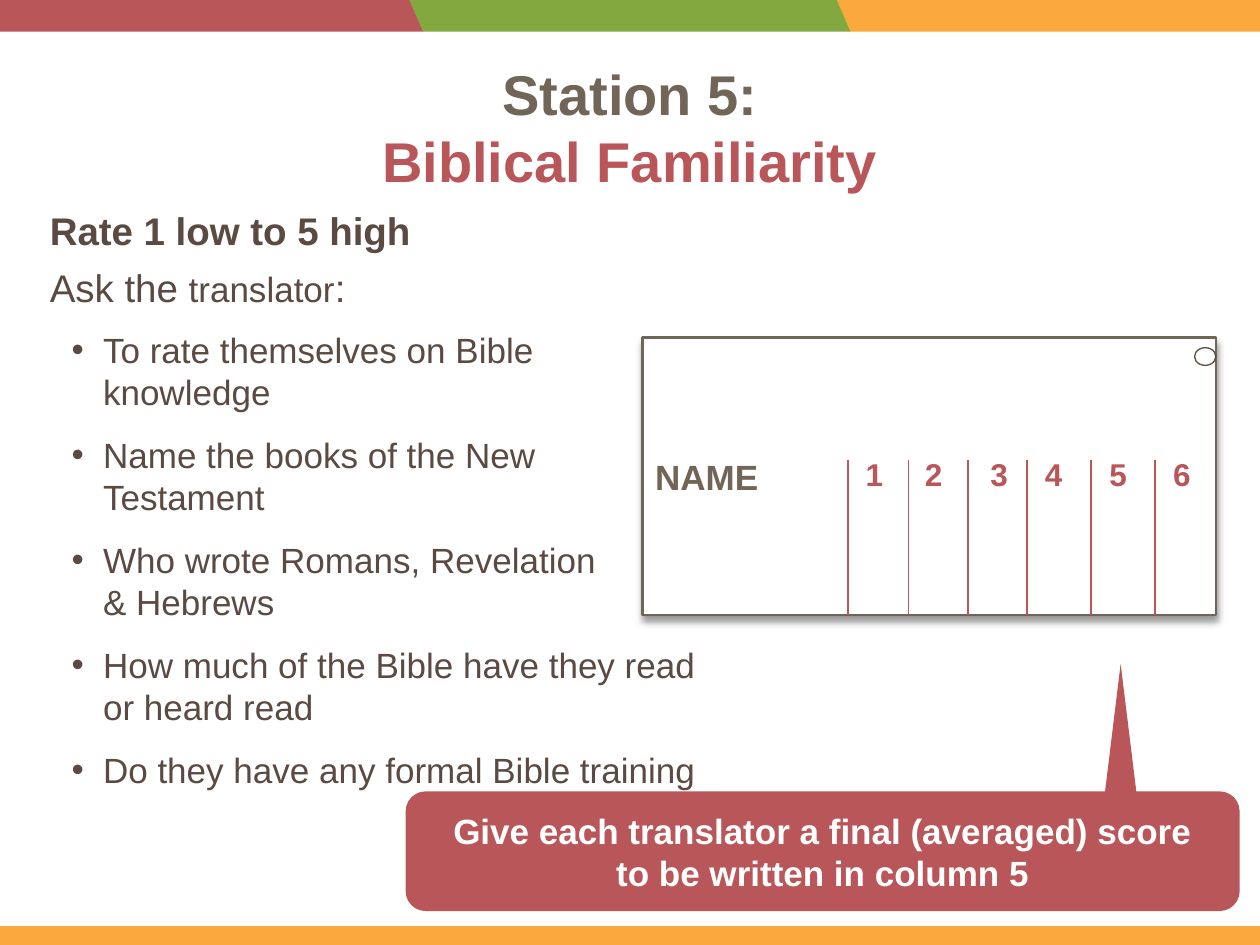
from lxml import etree
from pptx import Presentation
from pptx import util as u
from pptx.dml.color import RGBColor
from pptx.enum import shapes, text
from pptx.oxml import ns, parse_xml

RED = RGBColor(0xB9, 0x56, 0x59)
GREEN = RGBColor(0x83, 0xA8, 0x3F)
ORANGE = RGBColor(0xFB, 0xA9, 0x3D)
TAUPE = RGBColor(0x71, 0x65, 0x57)
BROWN = RGBColor(0x5B, 0x4A, 0x42)
WHITE = RGBColor(0xFF, 0xFF, 0xFF)
FONT = "Arial"
Pt = u.Pt
SHAPE = shapes.MSO_SHAPE
ALIGN = text.PP_ALIGN
ANCHOR = text.MSO_ANCHOR


def write(tf, paragraphs, size=20, color=BROWN, bold=False, align=ALIGN.LEFT,
          after=0, bullet=False):
    """Fill tf; a paragraph is a string or a list of (string, run format) pairs."""
    for i, runs in enumerate(paragraphs):
        p = tf.paragraphs[0] if i == 0 else tf.add_paragraph()
        p.alignment = align
        p.space_after = Pt(after)
        if bullet:
            pPr = p._p.get_or_add_pPr()
            pPr.set("marL", str(Pt(18)))
            pPr.set("indent", str(Pt(-18)))
            etree.SubElement(pPr, ns.qn("a:buFont")).set("typeface", FONT)
            etree.SubElement(pPr, ns.qn("a:buChar")).set("char", "•")
        if isinstance(runs, str):
            runs = [(runs, {})]
        for words, fmt in runs:
            for n, line in enumerate(words.split("\n")):
                if n:
                    p.add_line_break()
                if not line:
                    continue
                r = p.add_run()
                r.text = line
                r.font.name = FONT
                r.font.size = Pt(fmt.get("size", size))
                r.font.bold = fmt.get("bold", bold)
                r.font.color.rgb = fmt.get("color", color)


class Deck:
    """Holds the presentation style and the current slide."""

    def __init__(self, width, height):
        self.prs = Presentation()
        self.prs.slide_width, self.prs.slide_height = Pt(width), Pt(height)
        self.s = self.prs.slides.add_slide(self.prs.slide_layouts[6])

    def shape(self, kind, x, y, w, h, fill, line=None, line_width=0.75):
        sp = self.s.shapes.add_shape(kind, Pt(x), Pt(y), Pt(w), Pt(h))
        sp.shadow.inherit = False
        sp.fill.solid()
        sp.fill.fore_color.rgb = fill
        if line is None:
            sp.line.fill.background()
        else:
            sp.line.color.rgb = line
            sp.line.width = Pt(line_width)
        sp.text_frame.vertical_anchor = ANCHOR.MIDDLE
        return sp

    def band(self, x, fill):
        sp = self.shape(SHAPE.PARALLELOGRAM, x, 0, 252, 18, fill)
        sp.adjustments[0] = 0.436
        sp._element.spPr.find(ns.qn("a:xfrm")).set("flipH", "1")

    def text(self, x, y, w, h, paragraphs, wrap=True, anchor=ANCHOR.TOP,
             inset=None, **fmt):
        tf = self.s.shapes.add_textbox(Pt(x), Pt(y), Pt(w), Pt(h)).text_frame
        tf.word_wrap = wrap
        tf.vertical_anchor = anchor
        if inset is not None:
            tf.margin_left = tf.margin_right = Pt(inset)
            tf.margin_top = tf.margin_bottom = Pt(inset)
        write(tf, paragraphs, **fmt)

    def line(self, x1, y1, x2, y2, color, width=1):
        c = self.s.shapes.add_connector(
            shapes.MSO_CONNECTOR.STRAIGHT, Pt(x1), Pt(y1), Pt(x2), Pt(y2))
        c.line.color.rgb = color
        c.line.width = Pt(width)
        etree.SubElement(c._element.spPr, ns.qn("a:effectLst"))

    def drop_shadow(self, sp):
        effects = sp._element.spPr.find(ns.qn("a:effectLst"))
        effects.append(parse_xml(
            f'<a:outerShdw {ns.nsdecls("a")} blurRad="{Pt(4)}" dist="{Pt(3)}" '
            'dir="5400000" algn="ctr" rotWithShape="0"><a:srgbClr val="000000">'
            '<a:alpha val="40000"/></a:srgbClr></a:outerShdw>'))


def main():
    d = Deck(720, 540)

    for x, fill in ((478, ORANGE), (-10, RED), (234, GREEN)):
        d.band(x, fill)
    d.shape(SHAPE.RECTANGLE, 0, 529.2, 720, 10.8, ORANGE)

    d.text(49.7, 30.2, 620.6, 104.4,
           [[("Station 5:\n", {}), ("Biblical Familiarity", {"color": RED})]],
           size=32, color=TAUPE, bold=True, align=ALIGN.CENTER)
    d.text(24.5, 114.5, 290.9, 73.4,
           [[("Rate 1 low to 5 high", {"bold": True})],
            [("Ask the ", {}), ("translator", {"size": 20}), (":", {})]],
           size=22, after=6, inset=4)

    d.shape(SHAPE.ISOSCELES_TRIANGLE, 631.4, 379.4, 18, 73.4, RED)
    callout = d.shape(SHAPE.ROUNDED_RECTANGLE, 231.8, 452.2, 476.6, 68.4, RED)
    write(callout.text_frame,
          ["Give each translator a final (averaged) score\n"
           "to be written in column 5"],
          color=WHITE, bold=True, align=ALIGN.CENTER)

    d.text(33.8, 184.3, 370.8, 273.6,
           ["To rate themselves on Bible knowledge",
            "Name the books of the New Testament",
            "Who wrote Romans, Revelation\n& Hebrews",
            "How much of the Bible have they read or heard read",
            "Do they have any formal Bible training"],
           after=12, bullet=True)

    card_top, card_height = 193, 158.4
    card = d.shape(SHAPE.RECTANGLE, 367.2, card_top, 327.6, card_height,
                   WHITE, TAUPE, 1.5)
    d.drop_shadow(card)
    write(card.text_frame, ["NAME"], color=TAUPE, bold=True)

    dividers = (484.6, 519.1, 553, 586.8, 623.5, 660.2)
    for x in dividers:
        d.line(x, 262.8, x, card_top + card_height, RED)
    d.shape(SHAPE.OVAL, 682.6, 198.7, 12.2, 10.1, WHITE, BROWN)
    label_centers = (499.7, 533.5, 571, 602, 639, 675.4)
    for number, center in enumerate(label_centers, 1):
        d.text(center - 15.1, 256.3, 30.2, 28.8, [str(number)], wrap=False,
               anchor=ANCHOR.MIDDLE, size=18, color=RED, bold=True,
               align=ALIGN.CENTER)

    d.prs.save("out.pptx")


if __name__ == "__main__":
    main()
